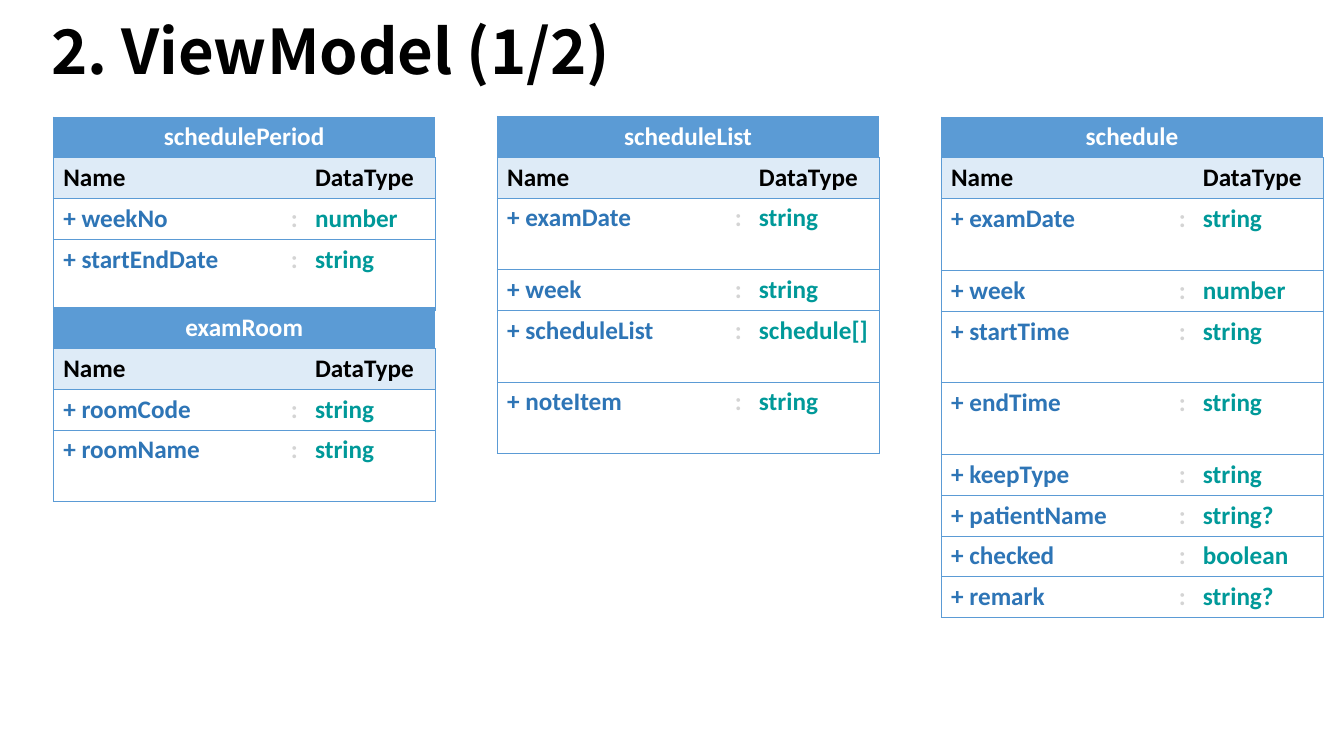
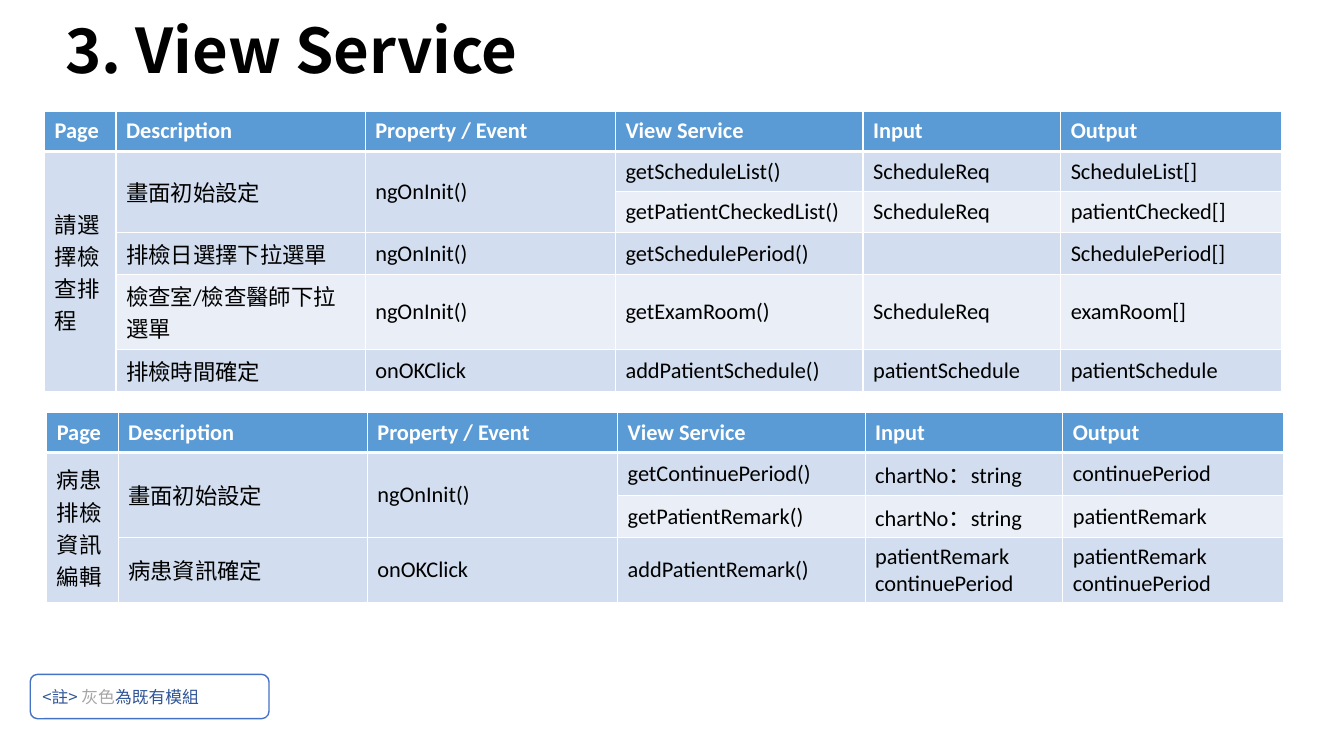
"""Build the view model and view service slides."""
from dataclasses import dataclass

from pptx import Presentation
from pptx.dml.color import RGBColor as Rgb
from pptx.enum.shapes import MSO_SHAPE as Shape
from pptx.enum.text import MSO_ANCHOR as Anchor, PP_ALIGN as Align
from pptx.oxml.xmlchemy import OxmlElement as Node
from pptx.util import Pt

HUES = {
    "black": "000000", "white": "FFFFFF", "head": "5B9BD5", "sub": "DEEBF7",
    "name": "2E75B6", "colon": "D4D4D4", "type": "009999",
    "odd": "D2DEEF", "even": "EAEFF7",
    "frame": "4472C4", "note": "2F5597", "gray": "A6A6A6",
}
LATIN, ASIAN = "Calibri", "Noto Sans CJK SC"
LINE, TALL = 29.2, 51.1
MODEL_COLS = (162.6, 16.6, 93)
GRID_COLS = (51, 178, 178.8, 176.8, 141.2, 157.6)
HEADS = ("Page", "Description", "Property / Event", "View Service", "Input", "Output")


@dataclass(frozen=True)
class Field:
    name: str
    kind: str
    high: float = LINE


@dataclass(frozen=True)
class Model:
    name: str
    left: float
    top: float
    fields: tuple[Field, ...]


@dataclass(frozen=True)
class Grid:
    left: float
    top: float
    highs: tuple[float, ...]
    rows: tuple[tuple[str | None, ...], ...]


MODELS = (
    Model("schedulePeriod", 38, 83.5, (
        Field("weekNo", "number"), Field("startEndDate", "string", TALL))),
    Model("schedule", 672.2, 83.5, (
        Field("examDate", "string", TALL), Field("week", "number"),
        Field("startTime", "string", TALL), Field("endTime", "string", TALL),
        Field("keepType", "string"), Field("patientName", "string?"),
        Field("checked", "boolean"), Field("remark", "string?"))),
    Model("scheduleList", 355.1, 83, (
        Field("examDate", "string", TALL), Field("week", "string"),
        Field("scheduleList", "schedule[]", TALL), Field("noteItem", "string", TALL))),
    Model("examRoom", 38, 219.5, (
        Field("roomCode", "string"), Field("roomName", "string", TALL))),
)
GRIDS = (
    Grid(31.9, 79.4, (28.8, 28.8, 28.8, 30.4, 53.5, 30.4), (
        HEADS,
        ("請選擇檢查排程", "畫面初始設定", "ngOnInit()", "getScheduleList()",
         "ScheduleReq", "ScheduleList[]"),
        (None, None, None, "getPatientCheckedList()", "ScheduleReq", "patientChecked[]"),
        (None, "排檢日選擇下拉選單", "ngOnInit()", "getSchedulePeriod()", "",
         "SchedulePeriod[]"),
        (None, "檢查室/檢查醫師下拉選單", "ngOnInit()", "getExamRoom()",
         "ScheduleReq", "examRoom[]"),
        (None, "排檢時間確定", "onOKClick", "addPatientSchedule()",
         "patientSchedule", "patientSchedule"))),
    Grid(33.4, 294.5, (28.8, 30.4, 30.4, 46.3), (
        HEADS,
        ("病患排檢資訊編輯", "畫面初始設定", "ngOnInit()", "getContinuePeriod()",
         "chartNo：string", "continuePeriod"),
        (None, None, None, "getPatientRemark()", "chartNo：string", "patientRemark"),
        (None, "病患資訊確定", "onOKClick", "addPatientRemark()",
         "patientRemark\ncontinuePeriod", "patientRemark\ncontinuePeriod"))),
)


def hue(key: str) -> Rgb:
    return Rgb.from_string(HUES[key])


def style(para, size: float, key: str, bold: bool = False, face: str = LATIN) -> None:
    font = para.font
    font.size, font.bold, font.name = Pt(size), bold, face
    font.color.rgb = hue(key)
    east = Node("a:ea")
    east.set("typeface", ASIAN)
    font._rPr.append(east)


def edge(cell, side: str, key: str | None, width: float) -> None:
    line = Node(f"a:ln{side}")
    line.set("w", str(Pt(width)))
    if key:
        fill, tint = Node("a:solidFill"), Node("a:srgbClr")
        tint.set("val", HUES[key])
        fill.append(tint)
    else:
        fill = Node("a:noFill")
    line.append(fill)
    cell._tc.get_or_add_tcPr().append(line)


def paint(cell, key: str | None) -> None:
    if key:
        cell.fill.solid()
        cell.fill.fore_color.rgb = hue(key)
    else:
        cell.fill.background()


def write(cell, text: str, size: float, key: str, bold: bool) -> None:
    cell.text = text
    for para in cell.text_frame.paragraphs:
        style(para, size, key, bold)


def add_grid(slide, left: float, top: float, cols: tuple, highs: tuple):
    frame = slide.shapes.add_table(
        len(highs), len(cols), Pt(left), Pt(top), Pt(sum(cols)), Pt(sum(highs)))
    table = frame.table
    table.first_row = table.horz_banding = False
    for col, width in zip(table.columns, cols):
        col.width = Pt(width)
    for row, high in zip(table.rows, highs):
        row.height = Pt(high)
    return table


def add_title(slide, text: str, left: float, top: float, width: float, high: float) -> None:
    box = slide.shapes.add_textbox(Pt(left), Pt(top), Pt(width), Pt(high))
    frame = box.text_frame
    frame.word_wrap, frame.vertical_anchor = True, Anchor.MIDDLE
    para = frame.paragraphs[0]
    para.text, para.line_spacing = text, 0.9
    style(para, 44, "black", True, ASIAN)


def add_model(slide, model: Model) -> None:
    highs = (LINE, LINE, *(field.high for field in model.fields))
    table = add_grid(slide, model.left, model.top, MODEL_COLS, highs)
    rows = [(model.name, "", ""), ("Name", "", "DataType")]
    rows += [(f"+ {field.name}", ":", field.kind) for field in model.fields]
    for r, row in enumerate(rows):
        keys = (("white",) * 3, ("black",) * 3)[r] if r < 2 else ("name", "colon", "type")
        back = ("head", "sub")[r] if r < 2 else None
        for c, text in enumerate(row):
            cell = table.cell(r, c)
            write(cell, text, 18, keys[c], True)
            edge(cell, "L", "head" if c == 0 else None, 0.5)
            edge(cell, "R", "head" if c == 2 else None, 0.5)
            edge(cell, "T", "head", 0.5)
            edge(cell, "B", "head", 0.5)
            paint(cell, back)
    table.cell(0, 0).merge(table.cell(0, 2))
    table.cell(0, 0).text_frame.paragraphs[0].alignment = Align.CENTER


def add_service(slide, grid: Grid) -> None:
    table = add_grid(slide, grid.left, grid.top, GRID_COLS, grid.highs)
    for r, row in enumerate(grid.rows):
        back = "head" if r == 0 else "odd" if r % 2 else "even"
        for c, text in enumerate(row):
            cell = table.cell(r, c)
            cell.vertical_anchor = Anchor.MIDDLE
            write(cell, text or "", 16, "black" if r else "white", r == 0)
            for side in "LRTB":
                thick = (r, side) in ((0, "B"), (1, "T"))
                edge(cell, side, "white", 3 if thick else 1)
            paint(cell, back)
    for c in range(len(HEADS)):
        first = 0
        for r, row in enumerate(grid.rows):
            if row[c] is not None:
                first = r
            if r > first and (r + 1 == len(grid.rows) or grid.rows[r + 1][c] is not None):
                table.cell(first, c).merge(table.cell(r, c))


def add_note(slide) -> None:
    note = slide.shapes.add_shape(
        Shape.ROUNDED_RECTANGLE, Pt(21.6), Pt(481.7), Pt(170.6), Pt(31.7))
    note.shadow.inherit = False
    paint(note, "white")
    note.line.color.rgb, note.line.width = hue("frame"), Pt(1)
    frame = note.text_frame
    frame.word_wrap, frame.vertical_anchor = True, Anchor.MIDDLE
    para = frame.paragraphs[0]
    para.alignment = Align.LEFT
    style(para, 12, "note", face=ASIAN)
    for text, key in (("<註> ", "note"), ("灰色", "gray"), ("為既有模組", "note")):
        run = para.add_run()
        run.text = text
        run.font.color.rgb = hue(key)


def main() -> None:
    deck = Presentation()
    deck.slide_width, deck.slide_height = Pt(960), Pt(540)
    blank = deck.slide_layouts[6]

    slide = deck.slides.add_slide(blank)
    add_title(slide, "2. ViewModel (1/2)", 29.5, -7.2, 669.6, 92.2)
    for model in MODELS:
        add_model(slide, model)

    slide = deck.slides.add_slide(blank)
    add_title(slide, "3. View Service", 39.6, 10, 876.2, 56.2)
    for grid in GRIDS:
        add_service(slide, grid)
    add_note(slide)

    deck.save("out.pptx")


if __name__ == "__main__":
    main()
